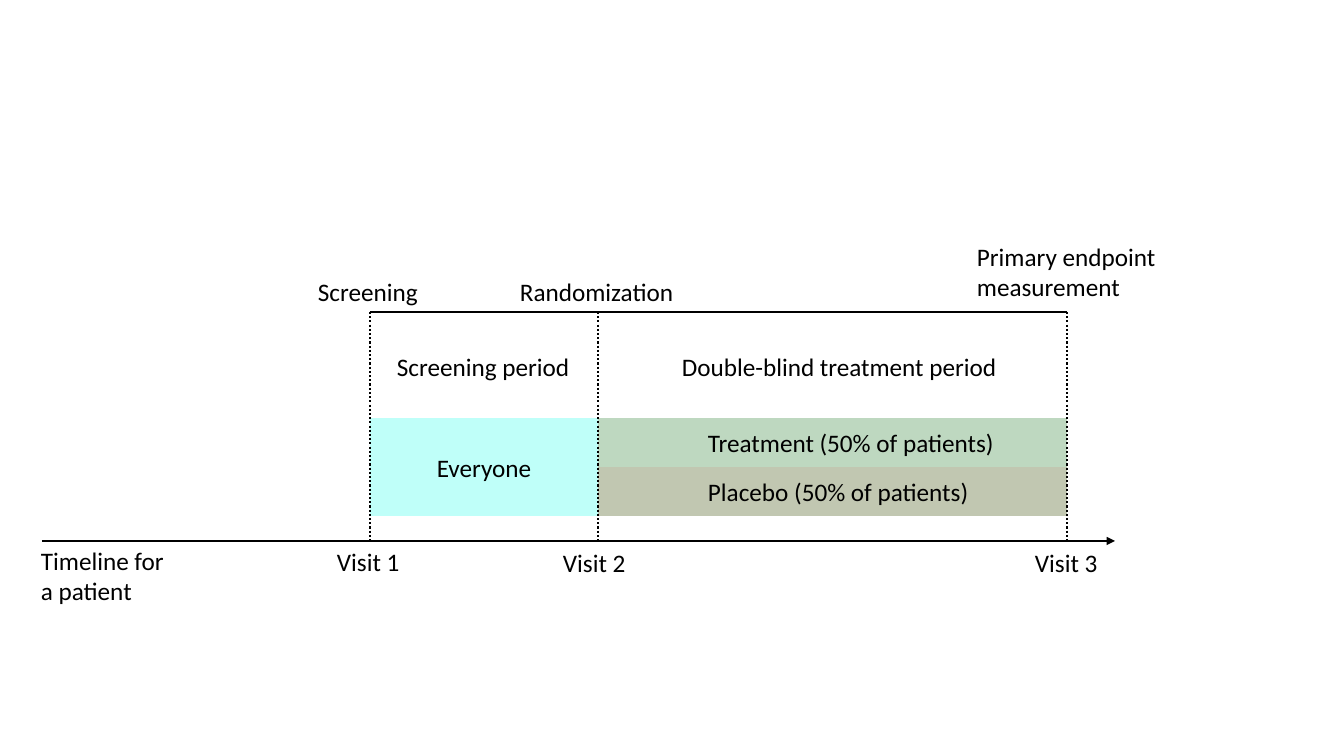
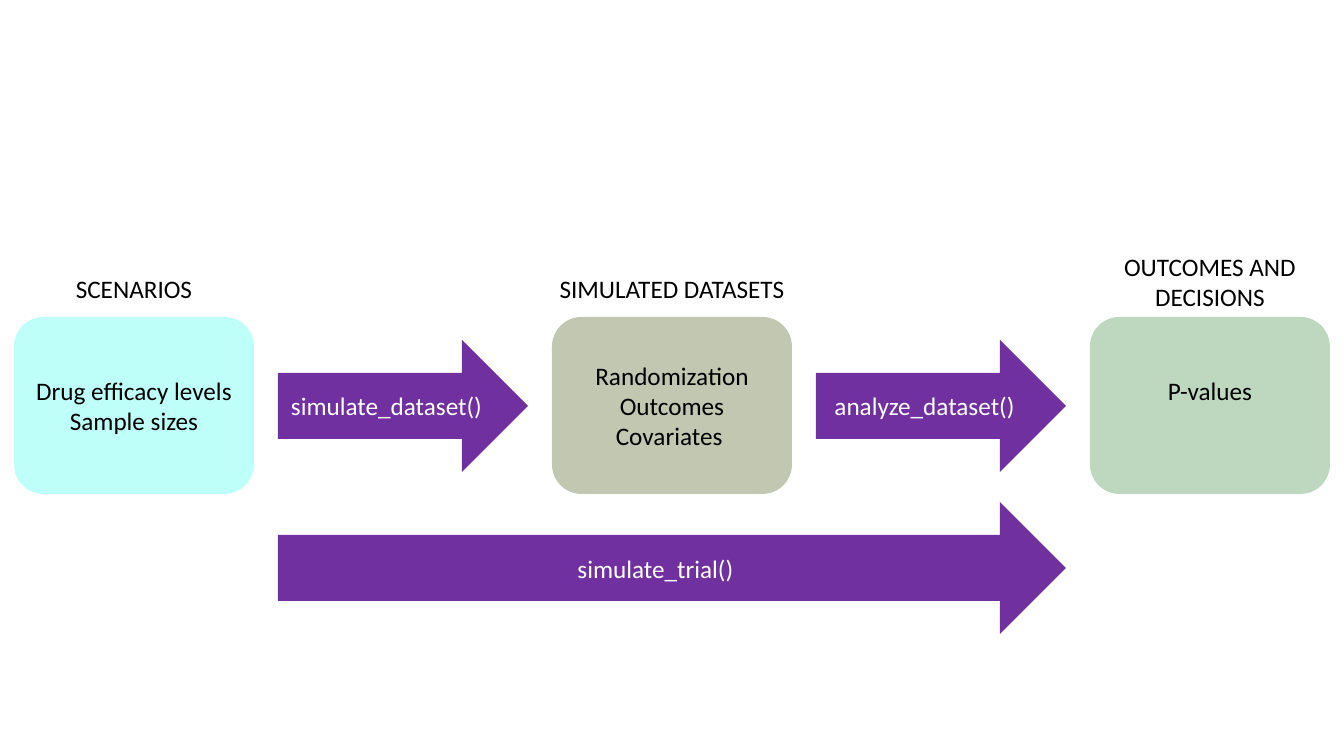
"""Build two slides: a patient timeline and a trial simulation workflow."""
from lxml.etree import SubElement
from pptx import Presentation
from pptx.dml.color import RGBColor
from pptx.enum.dml import MSO_LINE as Dash
from pptx.enum.shapes import MSO_CONNECTOR as Connector, MSO_SHAPE as Shape
from pptx.enum.text import MSO_ANCHOR as Anchor, MSO_AUTO_SIZE as AutoSize, PP_ALIGN as Align
from pptx.oxml.ns import qn
from pptx.util import Emu, Pt

PX = 914400 / 100.8
FONT = "Calibri"
BLACK = RGBColor(0x00, 0x00, 0x00)
WHITE = RGBColor(0xFF, 0xFF, 0xFF)
CYAN = RGBColor(0xBF, 0xFF, 0xF9)
GREEN = RGBColor(0xBE, 0xD8, 0xC0)
KHAKI = RGBColor(0xC1, 0xC7, 0xB1)
PURPLE = RGBColor(0x70, 0x30, 0xA0)


def write(slide, text, box, *, outline=None, fill=None, color=BLACK,
          align=Align.LEFT, indent=10, bottom=5):
    """Write text in a filled outline, or in a plain label without one."""
    place = [Emu(round(length * PX)) for length in box]
    if outline is None:
        frame = slide.shapes.add_textbox(*place).text_frame
        frame.word_wrap = False
        frame.auto_size = AutoSize.SHAPE_TO_FIT_TEXT
    else:
        shape = slide.shapes.add_shape(outline, *place)
        shape.shadow.inherit = False
        shape.fill.solid()
        shape.fill.fore_color.rgb = fill
        shape.line.fill.background()
        frame = shape.text_frame
        frame.word_wrap = True
        frame.vertical_anchor = Anchor.MIDDLE
        frame.margin_left = Emu(round(indent * PX))
        frame.margin_bottom = Emu(round(bottom * PX))
    frame.text = text
    for paragraph in frame.paragraphs:
        paragraph.alignment = align
        for run in paragraph.runs:
            run.font.name = FONT
            run.font.size = Pt(18)
            run.font.color.rgb = color


def draw_line(slide, ends, *, dash=None, arrow=False):
    """Draw a straight black line, optionally dotted or with an arrowhead."""
    connector = slide.shapes.add_connector(
        Connector.STRAIGHT, *[Emu(round(length * PX)) for length in ends])
    connector.line.color.rgb = BLACK
    connector.line.width = Pt(1.5)
    if dash:
        connector.line.dash_style = dash
    if arrow:
        SubElement(connector.line._get_or_add_ln(), qn("a:tailEnd"), type="triangle")
    SubElement(connector._element.spPr, qn("a:effectLst"))


deck = Presentation()
deck.slide_width = Emu(round(1344 * PX))
deck.slide_height = Emu(round(756 * PX))
blank = deck.slide_layouts[6]

timeline = deck.slides.add_slide(blank)
visits = screening, randomization, endpoint = 370, 598, 1067
period_top, axis = 312, 541
group_top, group_height = 418, 49
treatment_width = endpoint - randomization

for row, (group, tint) in enumerate([("Treatment (50% of patients)", GREEN),
                                     ("Placebo (50% of patients)", KHAKI)]):
    write(timeline, group,
          (randomization, group_top + row * group_height, treatment_width, group_height),
          outline=Shape.RECTANGLE, fill=tint, indent=110)
write(timeline, "Everyone",
      (screening, group_top, randomization - screening, 2 * group_height),
      outline=Shape.RECTANGLE, fill=CYAN, align=Align.CENTER)

for visit in visits:
    draw_line(timeline, (visit, period_top, visit, axis), dash=Dash.ROUND_DOT)
draw_line(timeline, (screening, period_top, endpoint, period_top))
draw_line(timeline, (42, axis, 1115, axis), arrow=True)

for label, box in [
    ("Visit 1", (327, 541, 84, 40)),
    ("Visit 2", (553, 542, 84, 40)),
    ("Visit 3", (1025, 542, 84, 40)),
    ("Timeline for\na patient", (31, 540, 145, 72)),
    ("Screening", (308, 271, 121, 40)),
    ("Randomization", (510, 271, 175, 40)),
    ("Primary endpoint\nmeasurement", (967, 236, 201, 72)),
    ("Screening period", (387, 346, 195, 40)),
    ("Double-blind treatment period", (672, 346, 339, 40)),
]:
    write(timeline, label, box)

workflow = deck.slides.add_slide(blank)
stage_left, stage_step, stage_width = 14, 538, 240
arrow_left, arrow_width, arrow_height = 278, 250, 132

for column, (heading, heading_top, heading_width, heading_height, content, tint, bottom) in enumerate([
    ("SCENARIOS", 268, 138, 40, "Drug efficacy levels\nSample sizes", CYAN, 5),
    ("SIMULATED DATASETS", 268, 247, 40, "Randomization\nOutcomes\nCovariates ", KHAKI, 5),
    ("OUTCOMES AND\nDECISIONS", 246, 194, 72, "P-values", GREEN, 35),
]):
    left = stage_left + column * stage_step
    write(workflow, content, (left, 317, stage_width, 177), outline=Shape.ROUNDED_RECTANGLE,
          fill=tint, align=Align.CENTER, bottom=bottom)
    write(workflow, heading,
          (left + (stage_width - heading_width) / 2, heading_top, heading_width, heading_height),
          align=Align.CENTER)

for call, left, top, width in [
    ("simulate_dataset()", arrow_left, 340, arrow_width),
    ("analyze_dataset()", arrow_left + stage_step, 340, arrow_width),
    ("simulate_trial()", arrow_left, 502, stage_step + arrow_width),
]:
    write(workflow, call, (left, top, width, arrow_height), outline=Shape.RIGHT_ARROW,
          fill=PURPLE, color=WHITE, align=Align.CENTER)

deck.save("out.pptx")
